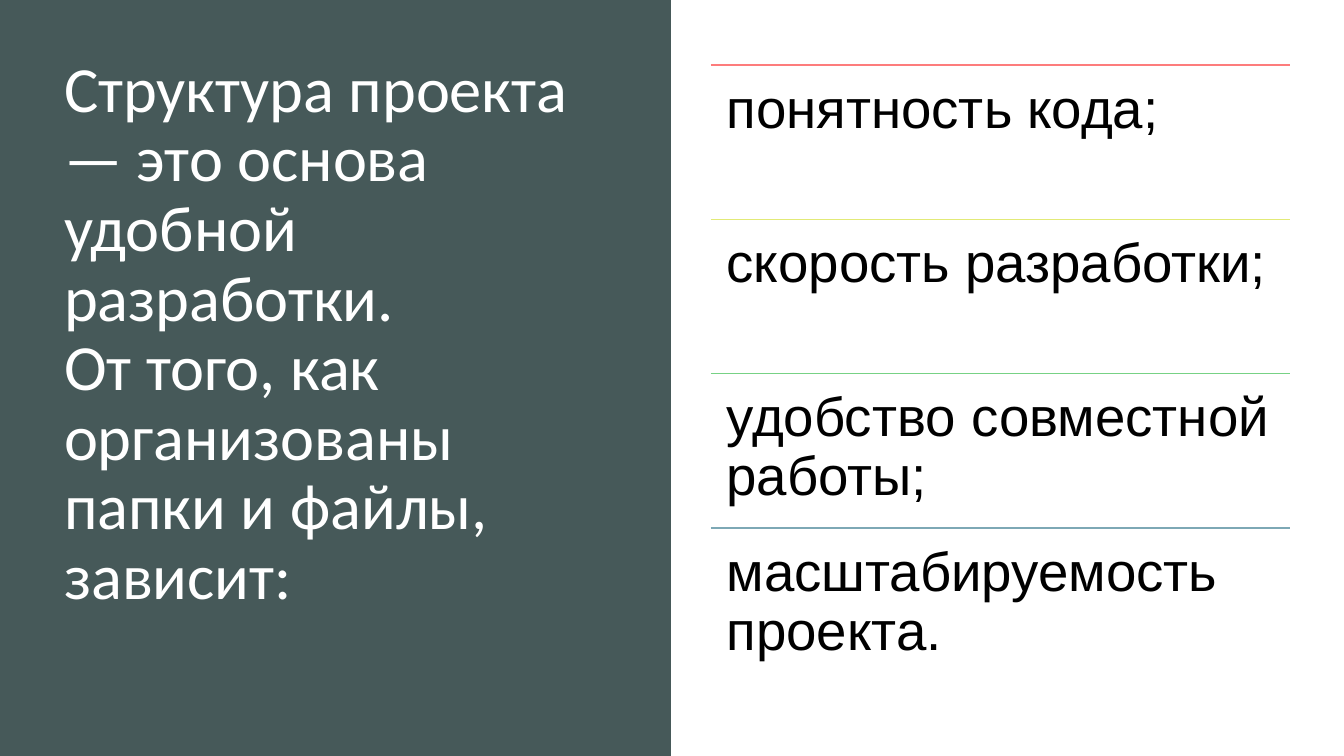
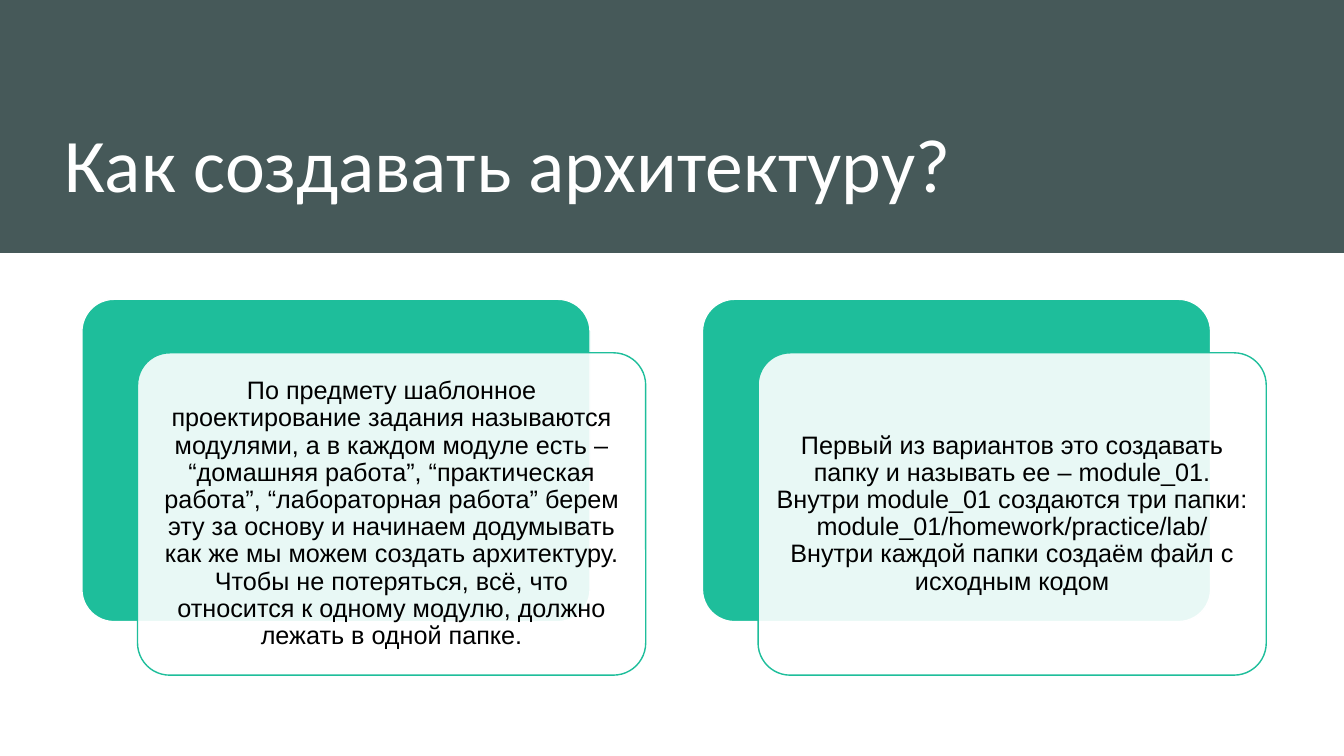
from dataclasses import dataclass

from lxml.etree import SubElement as Sub
from pptx import Presentation as Deck
from pptx.dml.color import RGBColor as Rgb
from pptx.enum.shapes import MSO_CONNECTOR as Link, MSO_SHAPE as Form
from pptx.enum.text import MSO_ANCHOR as Anchor, PP_ALIGN as Align
from pptx.oxml.ns import qn
from pptx.util import Pt

PX = 9525  # EMU in one px, 96 px to the inch
WIDE, HIGH = 1280, 720


@dataclass(frozen=True)
class Theme:
    band: str = "465959"
    white: str = "FFFFFF"
    black: str = "000000"
    card: str = "1EBE9B"
    rules: tuple = ("FD7C7C", "E2EA77", "77D285", "7DA8B5")
    head: str = "Calibri"
    body: str = "Arial"
    lead: int = 46
    title: int = 54
    item: int = 39
    note: int = 18


class Page:
    def __init__(self, deck, theme):
        self.deck, self.theme, self.slide = deck, theme, None

    def new(self):
        self.slide = self.deck.slides.add_slide(self.deck.slide_layouts[6])

    def label(self, shape, text, size, font, color, inset=(10, 5),
              anchor=Anchor.TOP, align=Align.LEFT, space=0.9):
        """Fill a shape with one paragraph; each newline is a line break."""
        frame = shape.text_frame
        frame.word_wrap = True
        frame.vertical_anchor = anchor
        frame.margin_left = frame.margin_right = inset[0] * PX
        frame.margin_top = frame.margin_bottom = inset[1] * PX
        para = frame.paragraphs[0]
        para.alignment, para.line_spacing = align, space
        for i, line in enumerate(text.split("\n")):
            if i:
                para.add_line_break()
            run = para.add_run()
            run.text = line
            run.font.name, run.font.size = font, Pt(size)
            run.font.color.rgb = Rgb.from_string(color)
        para.font.size = Pt(size)

    def text(self, box, *args, **opts):
        shape = self.slide.shapes.add_textbox(*(n * PX for n in box))
        self.label(shape, *args, **opts)

    def title(self, box, text, size, **opts):
        self.text(box, text, size, self.theme.head, self.theme.white, **opts)

    def shape(self, form, box, fill, line=None):
        shape = self.slide.shapes.add_shape(form, *(n * PX for n in box))
        shape.shadow.inherit = False
        shape.fill.solid()
        shape.fill.fore_color.rgb = Rgb.from_string(fill)
        if line:
            shape.line.color.rgb = Rgb.from_string(line)
            shape.line.width = Pt(1)
        else:
            shape.line.fill.background()
        return shape

    def band(self, wide, high):
        self.shape(Form.RECTANGLE, (0, 0, wide, high), self.theme.band)

    def rule(self, x, y, wide, color):
        line = self.slide.shapes.add_connector(
            Link.STRAIGHT, x * PX, y * PX, (x + wide) * PX, y * PX)
        line.line.color.rgb = Rgb.from_string(color)
        line.line.width = Pt(1)
        Sub(line._element.spPr, qn("a:effectLst"))

    def card(self, x, y, text):
        """Draw a solid card with a translucent text card in front."""
        look, wide, high = self.theme, 484, 307
        back = self.shape(Form.ROUNDED_RECTANGLE, (x, y, wide, high),
                          look.card, look.white)
        front = self.shape(Form.ROUNDED_RECTANGLE,
                           (x + 53, y + 51, wide, high),
                           look.white, look.card)
        for shape in (back, front):
            shape.adjustments[0] = 0.1
        tint = front._element.spPr.find(qn("a:solidFill"))[0]
        Sub(tint, qn("a:alpha"), val="90000")
        self.label(front, text, look.note, look.body, look.black,
                   inset=(7, 7), anchor=Anchor.MIDDLE, align=Align.CENTER)


def reasons(page):
    look = page.theme
    page.new()
    page.band(639, HIGH)
    page.title((51, 49, 533, 611),
               "Структура проекта — это основа удобной разработки.\n"
               "От того, как организованы папки и файлы, зависит:",
               look.lead)
    items = ("понятность кода;", "скорость разработки;",
             "удобство совместной работы;", "масштабируемость проекта.")
    left, top, wide, step = 677, 62, 552, 147
    for i, (item, color) in enumerate(zip(items, look.rules)):
        y = top + i * step
        page.rule(left, y, wide, color)
        page.text((left, y, wide, step), item, look.item, look.body,
                  look.black, inset=(15, 15))


def layout(page):
    page.new()
    page.band(WIDE, 241)
    page.title((51, 38, 1141, 165), "Как создавать архитектуру?",
               page.theme.title, anchor=Anchor.BOTTOM, space=1.0)
    notes = (
        "По предмету шаблонное проектирование задания называются модулями, "
        "а в каждом модуле есть – “домашняя работа”, “практическая работа”, "
        "“лабораторная работа” берем эту за основу и начинаем додумывать "
        "как же мы можем создать архитектуру.\n"
        "Чтобы не потеряться, всё, что относится к одному модулю, "
        "должно лежать в одной папке.",
        "Первый из вариантов это создавать папку и называть ее – module_01. "
        "Внутри module_01 создаются три папки: "
        "module_01/homework/practice/lab/\n"
        "Внутри каждой папки создаём файл с исходным кодом",
    )
    for i, note in enumerate(notes):
        page.card(78 + i * 591, 285, note)


def main():
    deck = Deck()
    deck.slide_width, deck.slide_height = WIDE * PX, HIGH * PX
    page = Page(deck, Theme())
    reasons(page)
    layout(page)
    deck.save("out.pptx")


if __name__ == "__main__":
    main()
